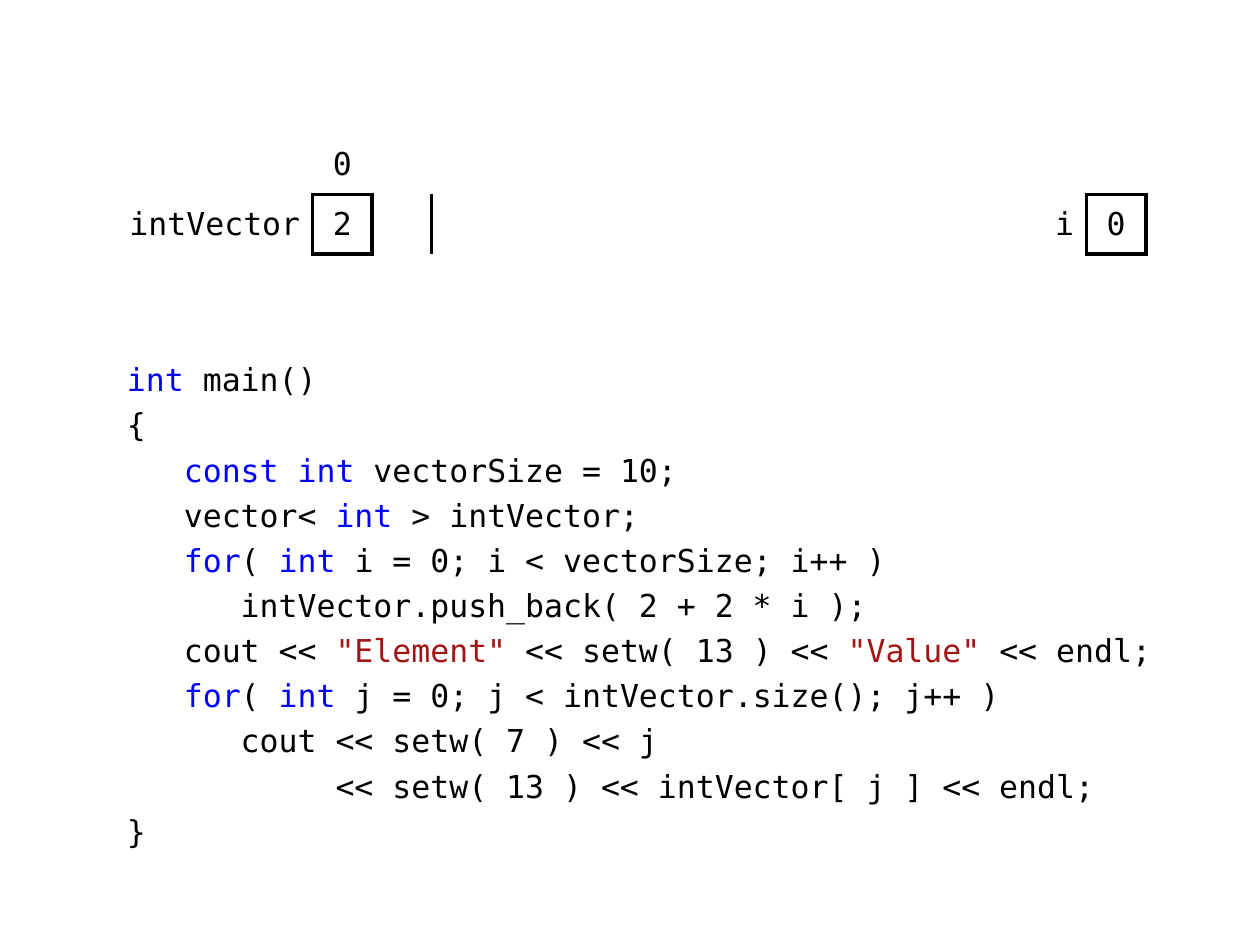
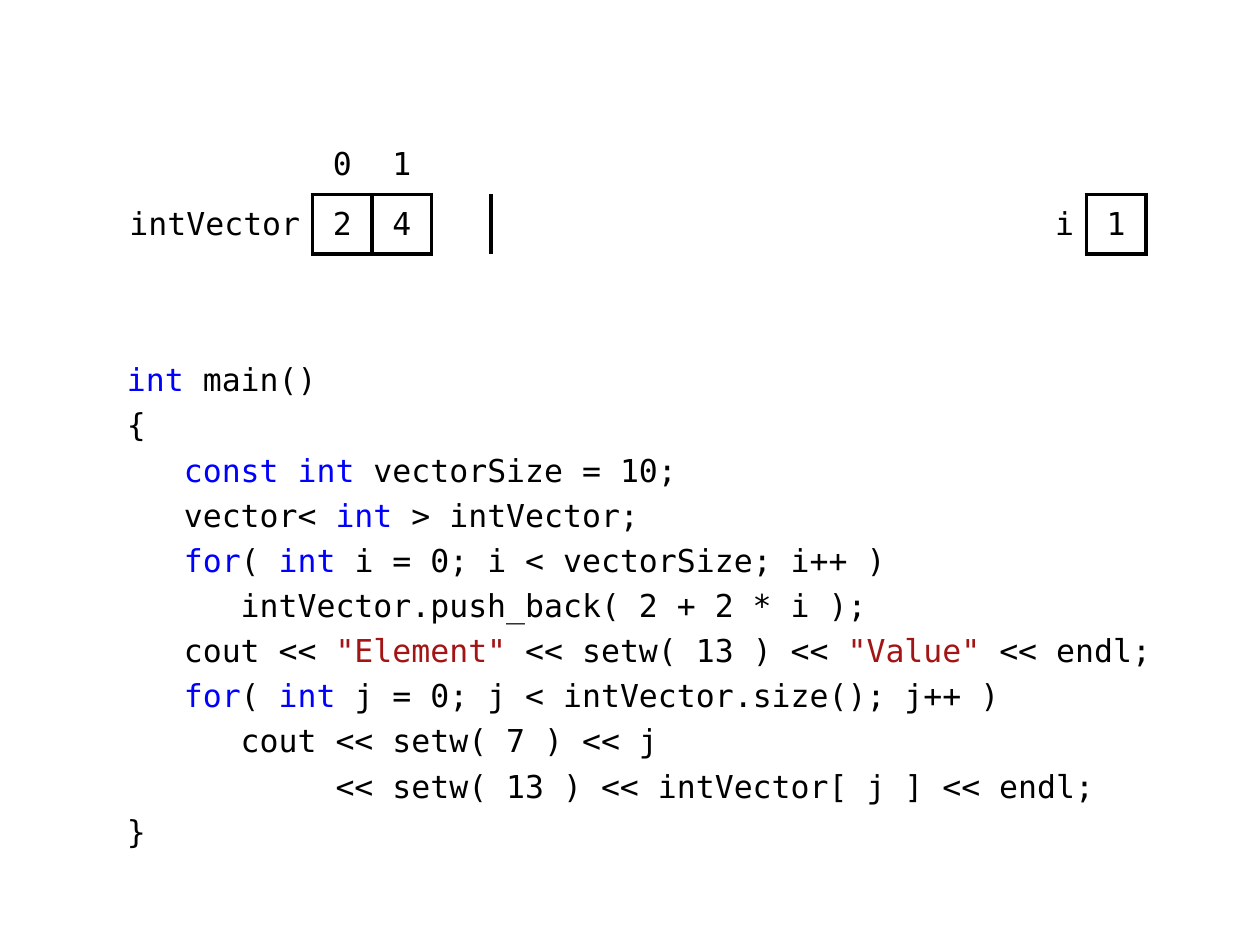
from typing import NamedTuple

from lxml import etree
from pptx import Presentation
from pptx.dml.color import RGBColor
from pptx.enum.text import MSO_ANCHOR, PP_ALIGN
from pptx.oxml.ns import qn
from pptx.util import Cm, Pt

LEFT, CENTER, RIGHT = PP_ALIGN.LEFT, PP_ALIGN.CENTER, PP_ALIGN.RIGHT
MIDDLE = MSO_ANCHOR.MIDDLE

FONT = "DejaVu Sans Mono"
TEXT_SIZE = Pt(18)
LINE_GAP = Pt(4.2)
BLACK, KEYWORD, STRING = "000000", "0000FF", "A31515"
NO_TABLE_STYLE = "{2D5ABB26-0587-4C30-8999-92F81FD0307C}"

MARGIN = Cm(2.31)
CELL = Cm(1.2)
VECTOR_CAPACITY = 10
NAME_COLUMN, FIRST_ELEMENT = 0, 1
COUNTER_NAME_COLUMN = FIRST_ELEMENT + VECTOR_CAPACITY
COUNTER_COLUMN = COUNTER_NAME_COLUMN + 1
COLUMN_WIDTHS = [Cm(3.99)] + [CELL] * VECTOR_CAPACITY + [Cm(3.6), CELL]
INDEX_ROW, VALUE_ROW = 0, 1
# Border element and the step to the neighbour that shares that edge
SIDES = {"a:lnL": (0, -1), "a:lnR": (0, 1), "a:lnT": (-1, 0), "a:lnB": (1, 0)}


class Span(NamedTuple):
    text: str
    color: str = BLACK


class VectorStep(NamedTuple):
    elements: list[int]
    counter: int


class CellText(NamedTuple):
    text: str
    align: PP_ALIGN = CENTER


INT, FOR = Span("int", KEYWORD), Span("for", KEYWORD)
INDENT = Span("   ")
CODE = [
    [INT, Span(" main()")],
    [Span("{")],
    [INDENT, Span("const int ", KEYWORD), Span("vectorSize = 10;")],
    [Span("   vector< "), INT, Span(" > intVector;")],
    [INDENT, FOR, Span("( "), INT, Span(" i = 0; i < vectorSize; i++ )")],
    [Span("      intVector.push_back( 2 + 2 * i );")],
    [Span("   cout << "), Span('"Element"', STRING), Span(" << setw( 13 ) << "),
     Span('"Value"', STRING), Span(" << endl;")],
    [INDENT, FOR, Span("( "), INT, Span(" j = 0; j < intVector.size(); j++ )")],
    [Span("      cout << setw( 7 ) << j")],
    [Span("           << setw( 13 ) << intVector[ j ] << endl;")],
    [Span("}")],
]
STEPS = [VectorStep([2], 0), VectorStep([2, 4], 1)]


def rgb(color: str) -> RGBColor:
    return RGBColor.from_string(color)


def add_spans(para, spans: list[Span], align: PP_ALIGN) -> None:
    para.alignment = align
    for span in spans:
        run = para.add_run()
        run.text = span.text
        run.font.name = FONT
        run.font.size = TEXT_SIZE
        run.font.color.rgb = rgb(span.color)


def add_border(cell, side: str) -> None:
    line = etree.SubElement(cell._tc.get_or_add_tcPr(), qn(side), w=str(Pt(2.25)))
    fill = etree.SubElement(line, qn("a:solidFill"))
    etree.SubElement(fill, qn("a:srgbClr"), val=BLACK)


def add_vector_table(page, step: VectorStep) -> None:
    frame = page.shapes.add_table(2, len(COLUMN_WIDTHS), MARGIN, Cm(2.72),
                                  sum(COLUMN_WIDTHS), 2 * CELL)
    table = frame.table
    table.first_row = table.horz_banding = False
    next(frame.element.iter(qn("a:tableStyleId"))).text = NO_TABLE_STYLE
    for column, width in zip(table.columns, COLUMN_WIDTHS):
        column.width = width

    # Names, indexes and values
    texts = {
        (VALUE_ROW, NAME_COLUMN): CellText("intVector", RIGHT),
        (VALUE_ROW, COUNTER_NAME_COLUMN): CellText("i", RIGHT),
        (VALUE_ROW, COUNTER_COLUMN): CellText(str(step.counter)),
    }
    boxed = {(VALUE_ROW, COUNTER_COLUMN)}
    for index, value in enumerate(step.elements):
        column = FIRST_ELEMENT + index
        texts[INDEX_ROW, column] = CellText(str(index))
        texts[VALUE_ROW, column] = CellText(str(value))
        boxed.add((VALUE_ROW, column))

    # Every edge of a boxed cell is drawn from both of its sides
    for row in (INDEX_ROW, VALUE_ROW):
        for column in range(len(COLUMN_WIDTHS)):
            cell = table.cell(row, column)
            cell.vertical_anchor = MIDDLE
            cell.margin_left = cell.margin_right = Cm(0.25)
            cell.margin_top = cell.margin_bottom = Cm(0.1)
            for side, (down, across) in SIDES.items():
                if boxed & {(row, column), (row + down, column + across)}:
                    add_border(cell, side)
            cell.fill.background()
            if (row, column) in texts:
                content = texts[row, column]
                add_spans(cell.text_frame.paragraphs[0], [Span(content.text)], content.align)


def add_code(page) -> None:
    box = page.shapes.add_textbox(MARGIN, Cm(7.14), Cm(21.21), Cm(10.39))
    frame = box.text_frame
    frame.word_wrap = True
    for number, spans in enumerate(CODE):
        para = frame.add_paragraph() if number else frame.paragraphs[0]
        if number:
            para.space_before = LINE_GAP
        add_spans(para, spans, LEFT)


def main() -> None:
    deck = Presentation()
    deck.slide_width, deck.slide_height = Cm(25.4), Cm(19.05)
    for step in STEPS:
        page = deck.slides.add_slide(deck.slide_layouts[6])
        add_code(page)
        add_vector_table(page, step)
    deck.save("out.pptx")


if __name__ == "__main__":
    main()
